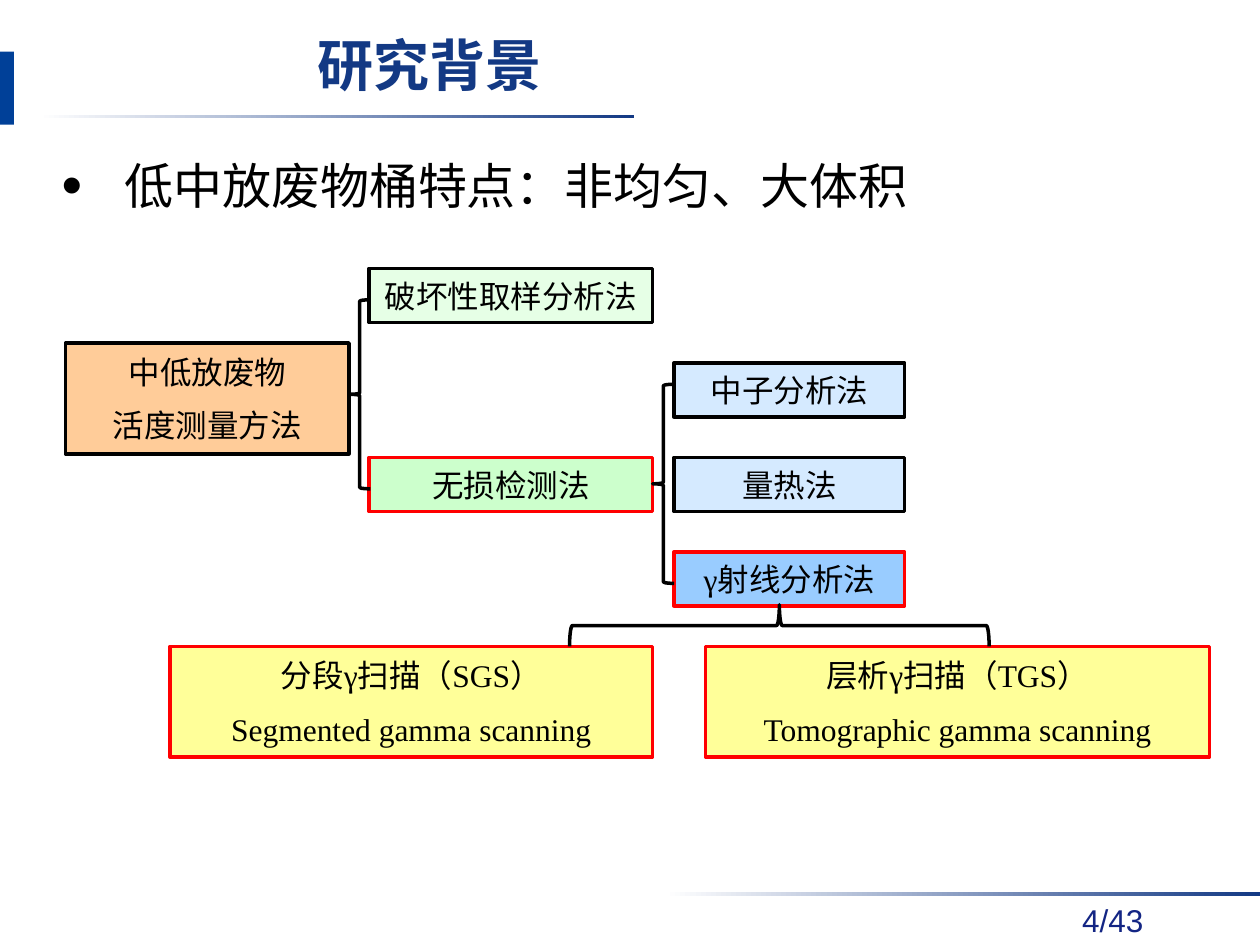
from lxml.etree import SubElement
from pptx import Presentation
from pptx.dml.color import RGBColor
from pptx.enum.shapes import MSO_SHAPE
from pptx.enum.text import MSO_ANCHOR, PP_ALIGN
from pptx.oxml.ns import qn
from pptx.util import Inches, Pt

TITLE = "研究背景"
POINT = "低中放废物桶特点：非均匀、大体积"
PAGE = "4/43"

NAVY, BLACK, RED = "133984", "000000", "FF0000"
ORANGE, GREEN, BLUE, YELLOW = "FFCC99", "CCFFCC", "99CCFF", "FFFF99"
SERIF, SANS = "Times New Roman", "Arial"

# Flow chart grid: column -> (left, width); rows are counted from the first box
COLUMNS = {"topic": (0.52, 2.25), "method": (2.93, 2.25), "technique": (5.35, 1.83),
           "segmented": (1.35, 3.83), "tomographic": (5.6, 4)}
FIRST_ROW, ROW_STEP = 2.13, 0.75
LINE_HEIGHT, EXTRA_LINE = 0.43, 0.45

# lines, column, row, fill, opacity in percent, outline
BOXES = [
    (["中低放废物", "活度测量方法"], "topic", 0.79, ORANGE, 100, BLACK),
    (["破坏性取样分析法"], "method", 0, GREEN, 48, BLACK),
    (["无损检测法"], "method", 2, GREEN, 100, RED),
    (["中子分析法"], "technique", 1, BLUE, 41, BLACK),
    (["量热法"], "technique", 2, BLUE, 41, BLACK),
    (["γ射线分析法"], "technique", 3, BLUE, 100, RED),
    (["分段γ扫描（SGS）", "Segmented gamma scanning"], "segmented", 4, YELLOW, 100, RED),
    (["层析γ扫描（TGS）", "Tomographic gamma scanning"], "tomographic", 4, YELLOW, 100, RED),
]
# left, top, width, height, rotation, curve
BRACES = [
    (2.77, 2.38, 0.17, 1.5, 0, 0.062),
    (5.18, 3.05, 0.17, 1.58, 0, 0.069),
    (6.02, 3.3, 0.33, 3.33, 90, 0.069),
]
RULES = [(0.31, 0.91), (5.28, 7.08)]


def color(value):
    return RGBColor.from_string(value)


def write(frame, lines, size=18, font=SERIF, ink=BLACK, bold=False,
          align=PP_ALIGN.LEFT, anchor=MSO_ANCHOR.TOP, wrap=True, gap=9):
    """Fill a text frame, one paragraph a line, with gap points between them."""
    frame.word_wrap = wrap
    frame.vertical_anchor = anchor
    for number, line in enumerate(lines):
        paragraph = frame.add_paragraph() if number else frame.paragraphs[0]
        paragraph.alignment = align
        paragraph.space_before = Pt(gap if number else 0)
        run = paragraph.add_run()
        run.text = line
        run.font.size, run.font.name, run.font.bold = Pt(size), font, bold
        run.font.color.rgb = color(ink)


def add_bullet(paragraph, indent):
    properties = paragraph._p.get_or_add_pPr()
    properties.set("marL", str(Inches(indent)))
    properties.set("indent", str(-Inches(indent)))
    SubElement(properties, qn("a:buSzPct"), val="120000")
    SubElement(properties, qn("a:buFont"), typeface=SANS)
    SubElement(properties, qn("a:buChar"), char="•")


def add_shape(slide, kind, bounds, fill=None, outline=None, opacity=100):
    shape = slide.shapes.add_shape(kind, *map(Inches, bounds))
    shape.shadow.inherit = False
    if fill:
        shape.fill.solid()
        shape.fill.fore_color.rgb = color(fill)
        if opacity < 100:
            solid = shape.fill._xPr.find(qn("a:solidFill"))
            SubElement(solid[0], qn("a:alpha"), val=str(opacity * 1000))
    else:
        shape.fill.background()
    if outline:
        shape.line.color.rgb = color(outline)
        shape.line.width = Pt(2)
    else:
        shape.line.fill.background()
    return shape


def add_frame(slide):
    """Draw the fading rules, side tab and page number."""
    for left, top in RULES:
        rule = add_shape(slide, MSO_SHAPE.RECTANGLE, (left, top, 4.72, 0.03))
        rule.fill.gradient()
        rule.fill.gradient_angle = 0
        for stop, shade in zip(rule.fill.gradient_stops, ("FFFFFF", NAVY)):
            stop.color.rgb = color(shade)
    add_shape(slide, MSO_SHAPE.RECTANGLE, (0, 0.41, 0.11, 0.58), fill="004098")
    page = slide.shapes.add_textbox(*map(Inches, (8.49, 7.1, 0.85, 0.4)))
    write(page.text_frame, [PAGE], font=SANS, ink="132584", wrap=False)


def add_heading(slide):
    title = slide.shapes.title
    title.left, title.top, title.width, title.height = map(Inches, (2.42, 0.18, 6.91, 0.83))
    title.text_frame.margin_top = Inches(0.06)
    write(title.text_frame, [TITLE], size=32, font=SANS, ink=NAVY, bold=True)
    point = slide.shapes.add_textbox(*map(Inches, (0.39, 1.14, 9.34, 0.91)))
    write(point.text_frame, [POINT], size=28)
    paragraph = point.text_frame.paragraphs[0]
    paragraph.line_spacing = 1.1
    add_bullet(paragraph, 0.5)


def add_flow_chart(slide):
    for lines, column, row, fill, opacity, outline in BOXES:
        left, width = COLUMNS[column]
        height = LINE_HEIGHT + EXTRA_LINE * (len(lines) - 1)
        bounds = (left, FIRST_ROW + ROW_STEP * row, width, height)
        box = add_shape(slide, MSO_SHAPE.RECTANGLE, bounds, fill, outline, opacity)
        write(box.text_frame, lines, align=PP_ALIGN.CENTER, anchor=MSO_ANCHOR.MIDDLE)
    for *bounds, rotation, curve in BRACES:
        brace = add_shape(slide, MSO_SHAPE.LEFT_BRACE, bounds, outline=BLACK)
        brace.rotation = rotation
        brace.adjustments[0] = curve


def main():
    deck = Presentation()
    deck.slide_width, deck.slide_height = Inches(10), Inches(7.5)
    slide = deck.slides.add_slide(deck.slide_layouts[5])
    add_frame(slide)
    add_heading(slide)
    add_flow_chart(slide)
    deck.save("out.pptx")


if __name__ == "__main__":
    main()
